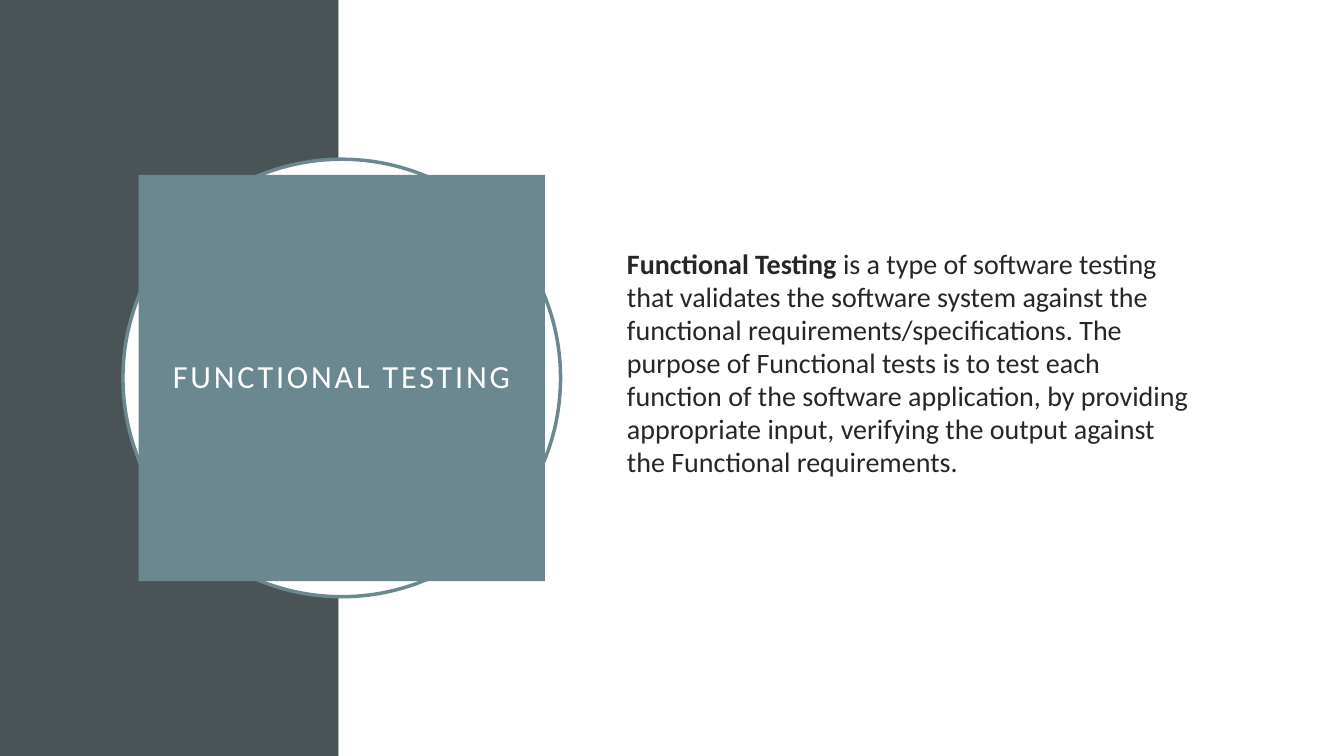
import pptx
import pptx.dml.color
import pptx.enum.shapes
import pptx.enum.text
import pptx.oxml.xmlchemy
import pptx.util
from lxml import etree

SLATE = pptx.dml.color.RGBColor(0x4A, 0x53, 0x56)
TEAL = pptx.dml.color.RGBColor(0x6B, 0x88, 0x91)
WHITE = pptx.dml.color.RGBColor(0xFF, 0xFF, 0xFF)
INK = pptx.dml.color.RGBColor(0x26, 0x26, 0x26)
DRAWING = "{http://schemas.openxmlformats.org/drawingml/2006/main}"
FONT = "Calibri"

presentation = pptx.Presentation()
presentation.slide_width = pptx.util.Inches(13.33)
presentation.slide_height = pptx.util.Inches(7.5)
width, height = presentation.slide_width, presentation.slide_height
slide = presentation.slides.add_slide(presentation.slide_layouts[1])
title, body = slide.placeholders

band_width = int(width * 0.252)
center_x, center_y = int(width * 0.2543), height // 2
ring_size = pptx.util.Inches(4.34)
panel_size = pptx.util.Inches(4.03)

SHAPES = pptx.enum.shapes.MSO_SHAPE
backdrop = [
    (SHAPES.RECTANGLE, 0, 0, band_width, height, SLATE, None),
    (SHAPES.RECTANGLE, band_width, 0, width - band_width, height, WHITE, None),
    (SHAPES.OVAL, center_x - ring_size // 2, center_y - ring_size // 2,
     ring_size, ring_size, WHITE, TEAL),
]
for preset, left, top, shape_width, shape_height, fill, outline in backdrop:
    shape = slide.shapes.add_shape(preset, left, top, shape_width, shape_height)
    shape.shadow.inherit = False
    shape.fill.solid()
    shape.fill.fore_color.rgb = fill
    if outline is None:
        shape.line.fill.background()
    else:
        shape.line.color.rgb = outline
        shape.line.width = pptx.util.Pt(2.5)

tree = title.element.getparent()
for placeholder in (title, body):
    tree.append(placeholder.element)
    frame = placeholder.text_frame
    frame.word_wrap = True
    frame.auto_size = pptx.enum.text.MSO_AUTO_SIZE.NONE
    frame.vertical_anchor = pptx.enum.text.MSO_ANCHOR.MIDDLE

title.left, title.top = center_x - panel_size // 2, center_y - panel_size // 2
title.width = title.height = panel_size
title.fill.solid()
title.fill.fore_color.rgb = TEAL
frame = title.text_frame
frame.margin_left = frame.margin_right = pptx.util.Inches(0.2)
frame.margin_top = frame.margin_bottom = pptx.util.Inches(0.2)
frame.text = "FUNCTIONAL TESTING"
paragraph = frame.paragraphs[0]
paragraph.alignment = pptx.enum.text.PP_ALIGN.CENTER
paragraph.line_spacing = 0.9
font = paragraph.runs[0].font
font.name, font.size, font.color.rgb = FONT, pptx.util.Pt(23), WHITE
paragraph.runs[0].font._element.set("spc", "200")

body.left, body.top = int(width * 0.459), int(height * 0.204)
body.width, body.height = int(width * 0.4366), int(height * 0.59)
body.text_frame.margin_bottom = pptx.util.Inches(0.32)
paragraph = body.text_frame.paragraphs[0]
properties = paragraph._p.get_or_add_pPr()
properties.set("marL", "0")
properties.set("indent", "0")
etree.SubElement(properties, DRAWING + "buNone")
paragraph.space_before = pptx.util.Pt(0)
paragraph.line_spacing = 0.98
definition = [
    ("Functional Testing ", True),
    ("is a type of software testing that validates the software system against "
     "the functional requirements/specifications. The purpose of Functional tests "
     "is to test each function of the software application, by providing "
     "appropriate input, verifying the output against the Functional "
     "requirements.", False),
]
for text, bold in definition:
    run = paragraph.add_run()
    run.text = text
    run.font.name, run.font.size = FONT, pptx.util.Pt(20)
    run.font.bold, run.font.color.rgb = bold, INK

presentation.save("out.pptx")
